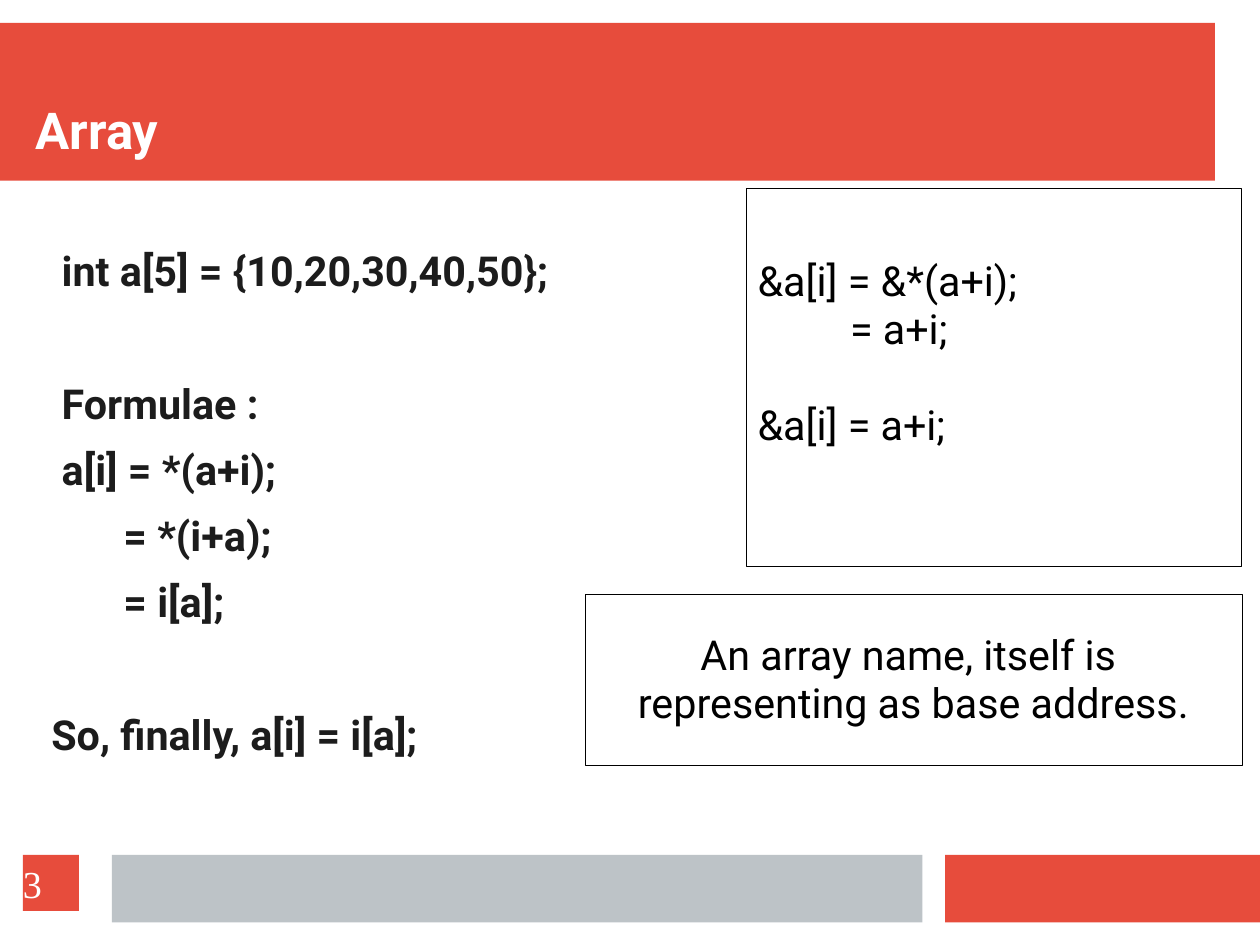
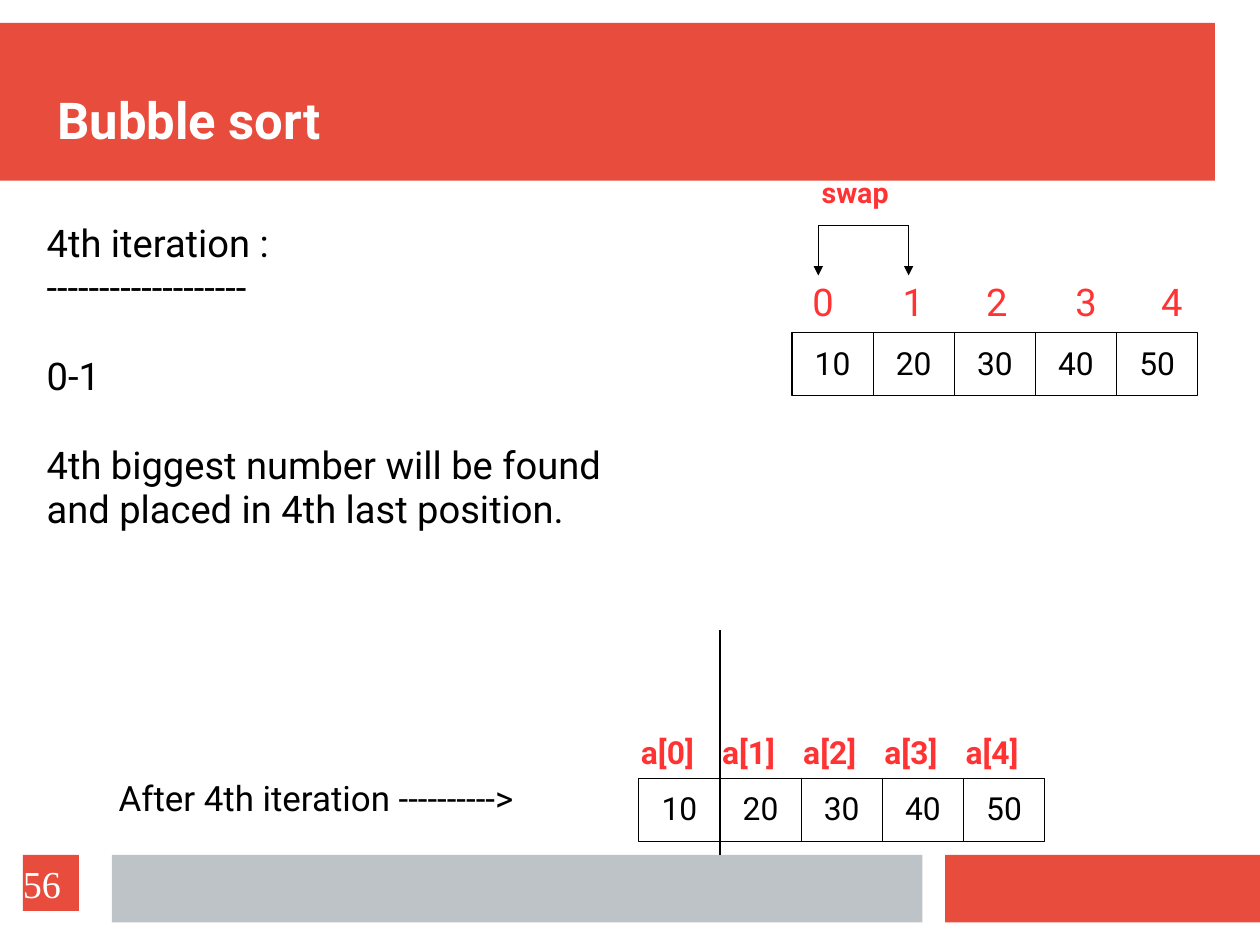
import pptx
import pptx.dml.color
import pptx.enum.shapes
import pptx.enum.text
import pptx.oxml
import pptx.oxml.ns
import pptx.util

Inches, Pt = pptx.util.Inches, pptx.util.Pt
RGB = pptx.dml.color.RGBColor.from_string
ALIGN, ANCHOR = pptx.enum.text.PP_ALIGN, pptx.enum.text.MSO_ANCHOR
RECT = pptx.enum.shapes.MSO_SHAPE.RECTANGLE
LINE = pptx.enum.shapes.MSO_CONNECTOR.STRAIGHT


class Theme:
    font, serif = "Roboto", "Times New Roman"
    red, gray, mark = "E74C3C", "BDC3C7", "FF3333"
    ink, black, white = "1C1C1C", "000000", "FFFFFF"
    title, code, body, note, cell, tag = 32, 26, 24, 22, 20, 18
    rule, lead = 0.75, 0.97


# Slide size in points
SIZE = (793.75, 595.25)

# Content: each line is (text, left indent in inches, space before in points)
BANDS = [
    ((0, 0.2, 10.63, 1.38), Theme.red),
    ((8.27, 7.48, 2.76, 0.59), Theme.red),
    ((0.98, 7.48, 7.09, 0.59), Theme.gray),
]
ARRAY = [
    ("int a[5] = {10,20,30,40,50};", 0.09, 0),
    ("Formulae :", 0.09, 41.8),
    ("a[i] = *(a+i);", 0.09, 0),
    ("= *(i+a);", 0.63, 0),
    ("= i[a];", 0.63, 0),
    ("So, finally, a[i] = i[a];", 0, 41.8),
]
ADDRESS = [
    ("&a[i] = &*(a+i);", 0, 0),
    ("= a+i;", 0.81, 0),
    ("&a[i] = a+i;", 0, 30.2),
]
BASE = [
    ("An array name, itself is ", 0, 0),
    ("representing as base address.", 0, 0),
]
STEPS = [
    ("4th iteration :", 0, 0),
    ("-------------------", 0, 0),
    ("0-1", 0, 28),
    ("4th biggest number will be found", 0, 28),
    ("and placed in 4th last position.", 0, 0),
]
VALUES = [10, 20, 30, 40, 50]
SPOTS = [7.01, 7.8, 8.53, 9.31, 10.06]
CELL_W, CELL_H = 0.71, 0.55
PAD = (0.1, 0.05, 0, 0.05)
EVEN = (0.1, 0.05, 0.1, 0.05)
FLUSH = (0, 0, 0, 0)


# Drawing helpers
def write(shape, text, size=Theme.body, color=Theme.black, bold=False,
          font=Theme.font, align=ALIGN.LEFT, anchor=ANCHOR.TOP, pad=PAD,
          after=0, lead=Theme.lead):
    frame = shape.text_frame
    frame.word_wrap = True
    frame.vertical_anchor = anchor
    (frame.margin_left, frame.margin_top,
     frame.margin_right, frame.margin_bottom) = map(Inches, pad)
    lines = [(text, 0, 0)] if isinstance(text, str) else text
    for i, (words, indent, before) in enumerate(lines):
        para = frame.add_paragraph() if i else frame.paragraphs[0]
        para.alignment, para.line_spacing = align, lead
        para.space_before, para.space_after = Pt(before), Pt(after)
        if indent:
            para._p.get_or_add_pPr().set("marL", str(Inches(indent)))
        run = para.add_run()
        run.text = words
        run.font.name, run.font.size, run.font.bold = font, Pt(size), bold
        run.font.color.rgb = RGB(color)


def label(slide, place, text, **style):
    write(slide.shapes.add_textbox(*map(Inches, place)), text, **style)


def box(slide, place, fill=Theme.white, edge=None, text=None, **style):
    shape = slide.shapes.add_shape(RECT, *map(Inches, place))
    shape.shadow.inherit = False
    shape.fill.solid()
    shape.fill.fore_color.rgb = RGB(fill)
    if edge:
        shape.line.color.rgb = RGB(edge)
        shape.line.width = Pt(Theme.rule)
    else:
        shape.line.fill.background()
    if text:
        write(shape, text, anchor=ANCHOR.MIDDLE, **style)


def line(slide, start, end, arrow=False):
    link = slide.shapes.add_connector(LINE, *map(Inches, start + end))
    link.line.color.rgb = RGB(Theme.black)
    link.line.width = Pt(Theme.rule)
    if arrow:
        tail = pptx.oxml.parse_xml(
            f'<a:tailEnd {pptx.oxml.ns.nsdecls("a")} type="triangle"/>')
        link.line._get_or_add_ln().append(tail)
    link._element.spPr.append(pptx.oxml.parse_xml(
        f'<a:effectLst {pptx.oxml.ns.nsdecls("a")}/>'))


def cells(slide, left, top):
    for i, value in enumerate(VALUES):
        box(slide, (left + i * CELL_W, top, CELL_W, CELL_H),
            edge=Theme.black, text=str(value), size=Theme.cell,
            align=ALIGN.CENTER, pad=EVEN)


def start(deck, title, place, number):
    slide = deck.slides.add_slide(deck.slide_layouts[6])
    for spot, fill in BANDS:
        box(slide, spot, fill)
    label(slide, place, title, size=Theme.title, color=Theme.white,
          bold=True, anchor=ANCHOR.BOTTOM, pad=FLUSH)
    box(slide, (0.2, 7.48, 0.49, 0.49), Theme.red, text=number,
        color=Theme.white, font=Theme.serif, pad=FLUSH, lead=1)
    return slide


# Slides
def array(deck):
    slide = start(deck, "Array", (0.31, 0.47, 10.09, 0.94), "3")
    label(slide, (0.45, 2.16, 5.9, 5.08), ARRAY, size=Theme.code,
          color=Theme.ink, bold=True, pad=(0, 0.01, 0, 0), after=11.5)
    box(slide, (6.53, 1.65, 4.33, 3.31), edge=Theme.black, text=ADDRESS,
        size=Theme.code, pad=(0.1, 0.05, 0.1, 0.47))
    box(slide, (5.12, 5.2, 5.75, 1.5), edge=Theme.black, text=BASE,
        size=Theme.code, align=ALIGN.CENTER, pad=EVEN)


def bubble(deck):
    slide = start(deck, "Bubble sort", (0.5, 0.39, 10.08, 0.93), "56")
    label(slide, (0.31, 1.89, 5.75, 2.83), STEPS)

    # Swap of the first two cells
    cells(slide, 6.93, 2.91)
    for i, left in enumerate(SPOTS):
        label(slide, (left, 2.41, 0.41, 0.5), str(i), color=Theme.mark)
    label(slide, (7.09, 1.5, 0.92, 0.4), "swap", size=Theme.tag,
          color=Theme.mark, bold=True)
    first, second, high, low = 7.16, 7.95, 1.97, 2.41
    line(slide, (first, high), (second, high))
    for x in (first, second):
        line(slide, (x, high), (x, low), arrow=True)

    # Result, with the sorted part to the right of the line
    left = 5.59
    cells(slide, left, 6.81)
    for i in range(len(VALUES)):
        label(slide, (left - 0.08 + i * CELL_W, 6.38, 0.83, 0.43), f"a[{i}]",
              size=Theme.cell, color=Theme.mark, bold=True)
    label(slide, (0.94, 6.77, 4.37, 0.47), "After 4th iteration ---------->",
          size=Theme.note)
    line(slide, (left + CELL_W, 5.51), (left + CELL_W, 7.48))


def main():
    deck = pptx.Presentation()
    deck.slide_width, deck.slide_height = map(Pt, SIZE)
    array(deck)
    bubble(deck)
    deck.save("out.pptx")


if __name__ == "__main__":
    main()
